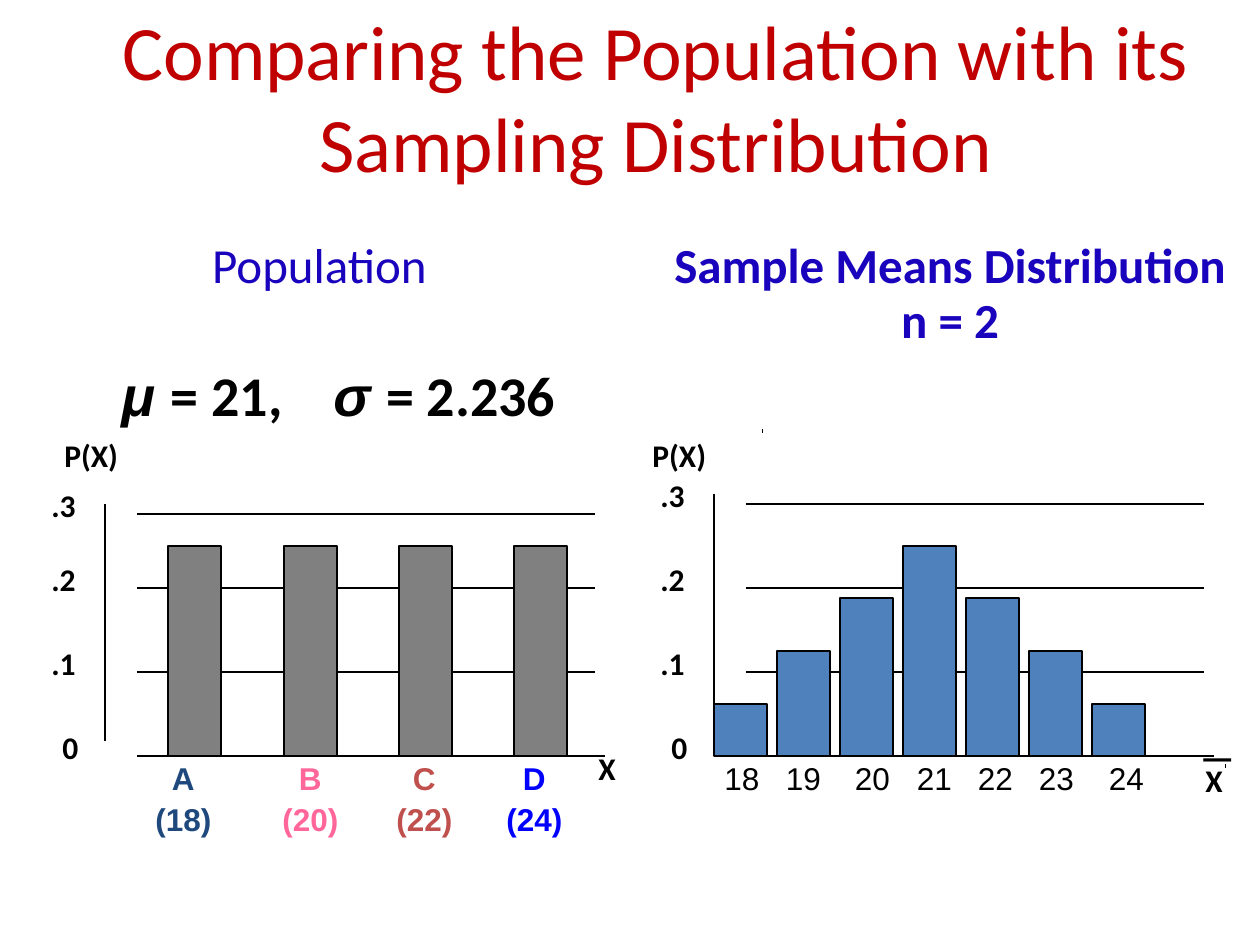
from pptx import Presentation
from pptx.dml.color import RGBColor
from pptx.enum.shapes import MSO_CONNECTOR, MSO_SHAPE
from pptx.enum.text import MSO_AUTO_SIZE, PP_ALIGN
from pptx.oxml.ns import qn
from pptx.util import Inches, Pt
from lxml.etree import SubElement

PX_PER_INCH = 126
BASELINE = 756
PX_PER_UNIT = 840
BAR_WIDTH = 53
BLACK, BLUE, RED = "000000", "1903BD", "C00000"
LABEL = {"size": Pt(18), "name": "Calibri", "bold": True}
NUMBER = {"size": Pt(18), "name": "Arial", "bold": False}
CATEGORY = {"size": Pt(18), "name": "Arial", "bold": True}
HEADING = {"size": Pt(28), "name": "Calibri", "bold": False}
STRONG_HEADING = {**HEADING, "bold": True}
TITLE = {"size": Pt(44), "name": "Calibri", "bold": False}
FORMULA = {"size": Pt(32), "name": "Calibri", "bold": True, "italic": False}
SYMBOL = {**FORMULA, "name": "Arial", "italic": True}
BAR_MARK = {"size": Pt(32), "name": "Calibri", "bold": False}
CENTRED = {"alignment": PP_ALIGN.CENTER}


def px(length):
    return round(Inches(length / PX_PER_INCH))


def color(text):
    return RGBColor.from_string(text)


def apply(target, values):
    for name, value in values.items():
        setattr(target, name, value)


class SlideBuilder:
    def __init__(self, page):
        self.page = page

    def line(self, x1, y1, x2, y2, width=1):
        connector = self.page.shapes.add_connector(
            MSO_CONNECTOR.STRAIGHT, px(x1), px(y1), px(x2), px(y2))
        connector.line.color.rgb = color(BLACK)
        connector.line.width = Pt(width)
        SubElement(connector._element.spPr, qn("a:effectLst"))

    def bar(self, left, probability, fill):
        height = round(PX_PER_UNIT * probability)
        bar = self.page.shapes.add_shape(
            MSO_SHAPE.RECTANGLE, px(left), px(BASELINE - height),
            px(BAR_WIDTH), px(height))
        bar.shadow.inherit = False
        bar.fill.solid()
        bar.fill.fore_color.rgb = color(fill)
        bar.line.color.rgb = color(BLACK)
        bar.line.width = Pt(1)

    def text(self, left, top, width, height, paragraphs, tabs=(), tab_kind="ctr"):
        """Each paragraph is (format, spans); each span is (text, font, colour)."""
        box = self.page.shapes.add_textbox(
            px(left), px(top), px(width), px(height))
        frame = box.text_frame
        apply(frame, {"word_wrap": True,
                      "auto_size": MSO_AUTO_SIZE.SHAPE_TO_FIT_TEXT})
        for index, (layout, spans) in enumerate(paragraphs):
            para = frame.add_paragraph() if index else frame.paragraphs[0]
            apply(para, layout)
            if tabs:
                stops = SubElement(para._p.get_or_add_pPr(), qn("a:tabLst"))
                for stop in tabs:
                    SubElement(stops, qn("a:tab"), pos=str(px(stop)), algn=tab_kind)
            for text, font, ink in spans:
                span = para.add_run()
                span.text = text
                apply(span.font, font)
                span.font.color.rgb = color(ink)

    def label(self, left, top, width, text, font=LABEL, height=63):
        self.text(left, top, width, height, [({}, [(text, font, BLACK)])])

    def plot(self, shift, top_grid, axis_top, bar_left, bar_step, values, fill):
        # Axes and grid lines
        self.line(105 + shift, axis_top, 105 + shift, axis_top + 237)
        self.line(137 + shift, BASELINE, 605 + shift, BASELINE)
        for y in (672, 588, top_grid):
            self.line(137 + shift, y, 595 + shift, y)

        # Bars
        for index, value in enumerate(values):
            self.bar(bar_left + round(bar_step * index), value, fill)

        # Scale labels
        self.label(50 + shift, 722, 57, "0")
        for text, y in ((".1", 672), (".2", 588), (".3", top_grid)):
            self.label(39 + shift, y - 34, 78, text)


def main():
    deck = Presentation()
    deck.slide_width, deck.slide_height = Inches(10), Inches(7.5)
    slide = SlideBuilder(deck.slides.add_slide(deck.slide_layouts[6]))

    # Title and headings
    slide.text(50, -3, 1212, 199, [(CENTRED, [
        ("Comparing the Population with its Sampling Distribution", TITLE, RED)])])
    slide.text(123, 228, 393, 132, [(CENTRED, [("Population", HEADING, BLUE)])])
    slide.text(638, 228, 624, 118, [
        (CENTRED, [("Sample Means Distribution", STRONG_HEADING, BLUE)]),
        ({**CENTRED, "line_spacing": 0.3, "space_before": Pt(18)},
         [("n = 2", STRONG_HEADING, BLUE)])])

    # Population parameters
    slide.text(60, 354, 541, 81, [({}, [
        ("\tμ ", SYMBOL, BLACK), ("= 21,\t", FORMULA, BLACK),
        ("σ ", SYMBOL, BLACK), ("= 2.236", FORMULA, BLACK)])],
        tabs=(49, 261), tab_kind="l")

    # Population plot
    slide.plot(0, 514, 504, 168, 115.5, [0.25] * 4, "808080")
    slide.label(52, 430, 149, "P(X)")
    slide.label(586, 743, 68, "X")
    categories = (("A", "(18)", "1F497D"), ("B", "(20)", "FF6699"),
                  ("C", "(22)", "C0504D"), ("D", "(24)", "0000FF"))
    slide.text(134, 753, 466, 88, [
        ({}, [("\t" + name, CATEGORY, ink) for name, _, ink in categories]),
        ({"line_spacing": 0.5, "space_before": Pt(11)},
         [("\t" + value, CATEGORY, ink) for _, value, ink in categories])],
        tabs=(37, 164, 278, 388))

    # Sample means plot
    sample_means = [count / 16 for count in (1, 2, 3, 4, 3, 2, 1)]
    slide.plot(609, 504, 494, 714, 63, sample_means, "4F81BD")
    slide.label(640, 430, 131, "P(X)")
    slide.label(1193, 755, 68, "X")
    slide.label(1191, 692, 54, "_", BAR_MARK, 79)
    means = "\t".join(str(mean) for mean in range(18, 25))
    slide.text(712, 753, 488, 50, [({}, [(means, NUMBER, BLACK)])],
               tabs=(79, 148, 210, 271, 332, 402))

    # Small tick marks
    for x, y in ((762, 431), (1225, 766)):
        slide.line(x, y, x + 1, y, width=2)

    deck.save("out.pptx")


if __name__ == "__main__":
    main()
